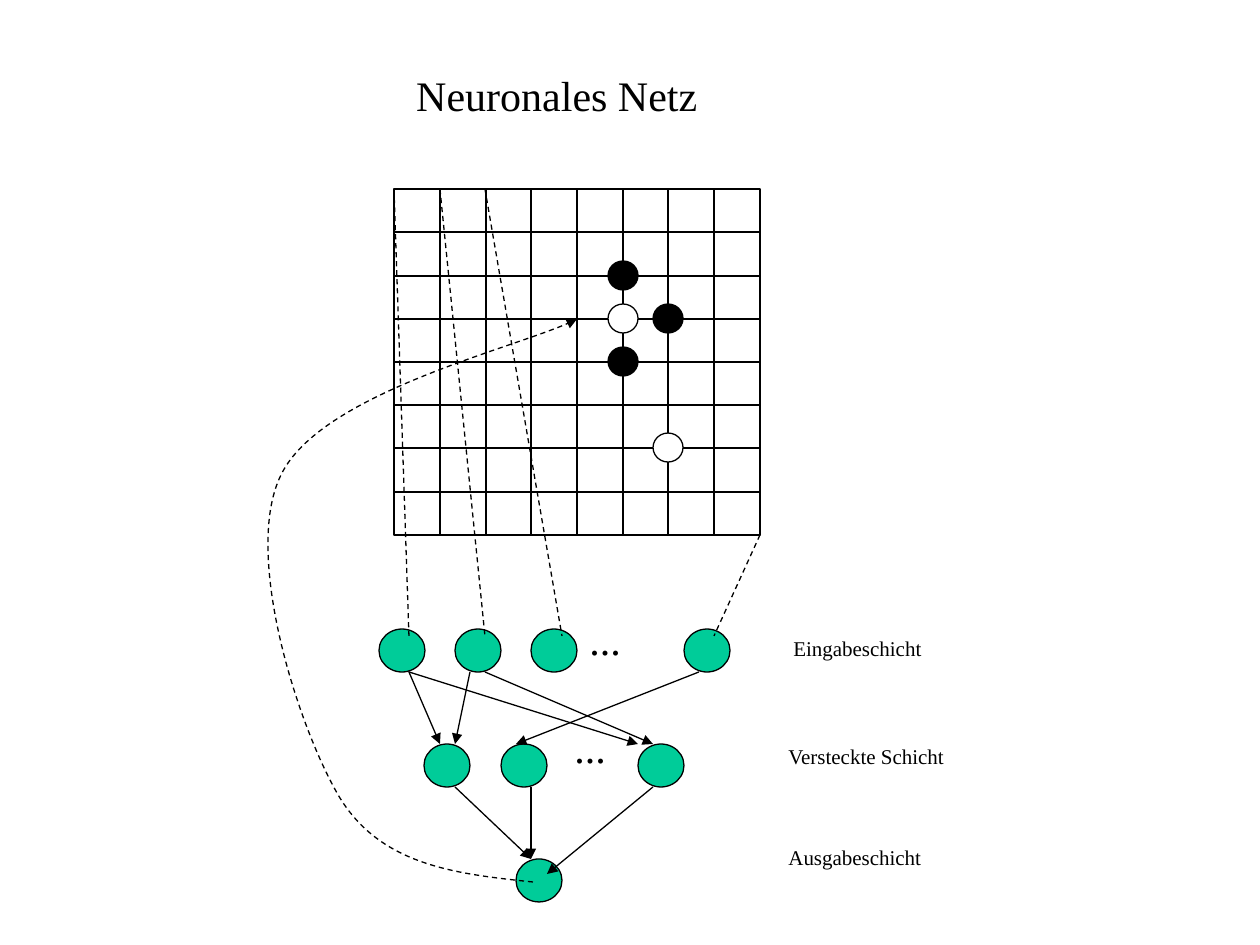
import itertools
from dataclasses import dataclass

import lxml.etree
import pptx
import pptx.dml.color
import pptx.enum.dml
import pptx.enum.shapes
import pptx.enum.text
import pptx.oxml.ns
import pptx.util

PX = 914400 / 126
FONT = "Times New Roman"
BLACK, WHITE, GREEN = "000000", "FFFFFF", "00CC99"
SHAPE = pptx.enum.shapes.MSO_SHAPE
qn = pptx.oxml.ns.qn

BOARD_X, BOARD_Y, BOARD_W, BOARD_H, CELLS = 394, 189, 366, 346, 8
NODE_W, NODE_H = 46, 43
STONE_W, STONE_H = 30, 29


@dataclass
class Layer:
    top: int
    lefts: list[int]


@dataclass
class Stone:
    col: int
    row: int
    color: str


@dataclass
class Link:
    x1: int
    y1: int
    x2: int
    y2: int


@dataclass
class Label:
    text: str
    x: int
    y: int
    w: int
    h: int
    size: int = 12


LAYERS = [
    Layer(629, [379, 455, 531, 684]),
    Layer(744, [424, 501, 638]),
    Layer(859, [516]),
]
ARROWS = [
    Link(409, 672, 440, 744),
    Link(470, 672, 455, 744),
    Link(485, 672, 653, 744),
    Link(409, 672, 638, 744),
    Link(699, 672, 516, 744),
    Link(455, 787, 531, 859),
    Link(531, 787, 531, 859),
    Link(653, 787, 547, 874),
]
INPUT_LINKS = [
    Link(394, 189, 409, 636),
    Link(440, 189, 485, 636),
    Link(485, 189, 562, 636),
    Link(760, 535, 714, 636),
]
STONES = [
    Stone(6, 3, BLACK),
    Stone(5, 2, BLACK),
    Stone(5, 4, BLACK),
    Stone(6, 6, WHITE),
    Stone(5, 3, WHITE),
]
LABELS = [
    Label("...", 577, 607, 57, 63, 24),
    Label("...", 562, 715, 57, 63, 24),
    Label("Eingabeschicht", 781, 629, 154, 38),
    Label("Versteckte Schicht", 776, 737, 183, 38),
    Label("Ausgabeschicht", 776, 838, 160, 38),
]
# Start point, then three points for each Bézier segment
FEEDBACK = [
    (533, 882),
    (457, 874), (382, 866), (340, 798),
    (299, 730), (242, 554), (281, 475),
    (320, 394), (528, 345), (577, 319),
]


def emu(px: float) -> int:
    return round(px * PX)


def rgb(color: str) -> pptx.dml.color.RGBColor:
    return pptx.dml.color.RGBColor.from_string(color)


def corner(col: int, row: int) -> tuple[int, int]:
    """Return the board's grid intersection in px."""
    return (round(BOARD_X + col * BOARD_W / CELLS),
            round(BOARD_Y + row * BOARD_H / CELLS))


def style_line(sp, dashed: bool = False, arrow: bool = False) -> None:
    sp.line.color.rgb = rgb(BLACK)
    sp.line.width = pptx.util.Pt(0.75)
    if dashed:
        sp.line.dash_style = pptx.enum.dml.MSO_LINE.DASH
    if arrow:
        ln = sp.line._get_or_add_ln()
        lxml.etree.SubElement(ln, qn("a:tailEnd"), type="triangle")


def add_shape(s, kind, x: int, y: int, w: int, h: int, color: str | None = None) -> None:
    sp = s.shapes.add_shape(kind, emu(x), emu(y), emu(w), emu(h))
    sp.shadow.inherit = False
    if color:
        sp.fill.solid()
        sp.fill.fore_color.rgb = rgb(color)
    else:
        sp.fill.background()
    style_line(sp)


def add_link(s, link: Link, dashed: bool = False, arrow: bool = False) -> None:
    sp = s.shapes.add_connector(pptx.enum.shapes.MSO_CONNECTOR.STRAIGHT, emu(link.x1),
                                emu(link.y1), emu(link.x2), emu(link.y2))
    style_line(sp, dashed, arrow)
    lxml.etree.SubElement(sp._element.spPr, qn("a:effectLst"))


def add_curve(s, points: list[tuple[int, int]]) -> None:
    """Draw a dashed arrow, turning each three line segments into one Bézier."""
    builder = s.shapes.build_freeform(*points[0], scale=PX)
    builder.add_line_segments(points[1:], close=False)
    sp = builder.convert_to_shape()
    sp.shadow.inherit = False
    sp.fill.background()
    style_line(sp, dashed=True, arrow=True)
    steps = list(sp._element.iter(qn("a:lnTo")))
    outline = steps[0].getparent()
    for i in range(0, len(steps), 3):
        curve = lxml.etree.SubElement(outline, qn("a:cubicBezTo"))
        for step in steps[i:i + 3]:
            curve.append(step[0])
            outline.remove(step)


def write(sp, text: str, size: int, wrap: bool) -> None:
    tf = sp.text_frame
    tf.word_wrap = wrap
    tf.auto_size = pptx.enum.text.MSO_AUTO_SIZE.SHAPE_TO_FIT_TEXT
    tf.vertical_anchor = pptx.enum.text.MSO_ANCHOR.TOP
    r = tf.paragraphs[0].add_run()
    r.text = text
    r.font.name = FONT
    r.font.size = pptx.util.Pt(size)
    r.font.color.rgb = rgb(BLACK)


def add_label(s, label: Label) -> None:
    sp = s.shapes.add_textbox(emu(label.x), emu(label.y), emu(label.w), emu(label.h))
    write(sp, label.text, label.size, wrap=False)


def set_title(s, label: Label) -> None:
    sp = s.shapes.title
    sp.left, sp.top = emu(label.x), emu(label.y)
    sp.width, sp.height = emu(label.w), emu(label.h)
    write(sp, label.text, label.size, wrap=True)
    sp.text_frame.paragraphs[0].alignment = pptx.enum.text.PP_ALIGN.CENTER


def main() -> None:
    prs = pptx.Presentation()
    prs.slide_width, prs.slide_height = pptx.util.Inches(10), pptx.util.Inches(7.5)
    s = prs.slides.add_slide(prs.slide_layouts[5])
    set_title(s, Label("Neuronales Netz ", 168, 63, 788, 63, 24))

    for layer in LAYERS:
        for left in layer.lefts:
            add_shape(s, SHAPE.OVAL, left, layer.top, NODE_W, NODE_H, GREEN)
    for link in ARROWS:
        add_link(s, link, arrow=True)
    for col, row in itertools.product(range(CELLS), repeat=2):
        x, y = corner(col, row)
        right, bottom = corner(col + 1, row + 1)
        add_shape(s, SHAPE.RECTANGLE, x, y, right - x, bottom - y)
    for link in INPUT_LINKS:
        add_link(s, link, dashed=True)
    for label in LABELS:
        add_label(s, label)
    for stone in STONES:
        x, y = corner(stone.col, stone.row)
        add_shape(s, SHAPE.OVAL, x - STONE_W // 2, y - (STONE_H + 1) // 2,
                  STONE_W, STONE_H, stone.color)
    add_curve(s, FEEDBACK)
    prs.save("out.pptx")


if __name__ == "__main__":
    main()
